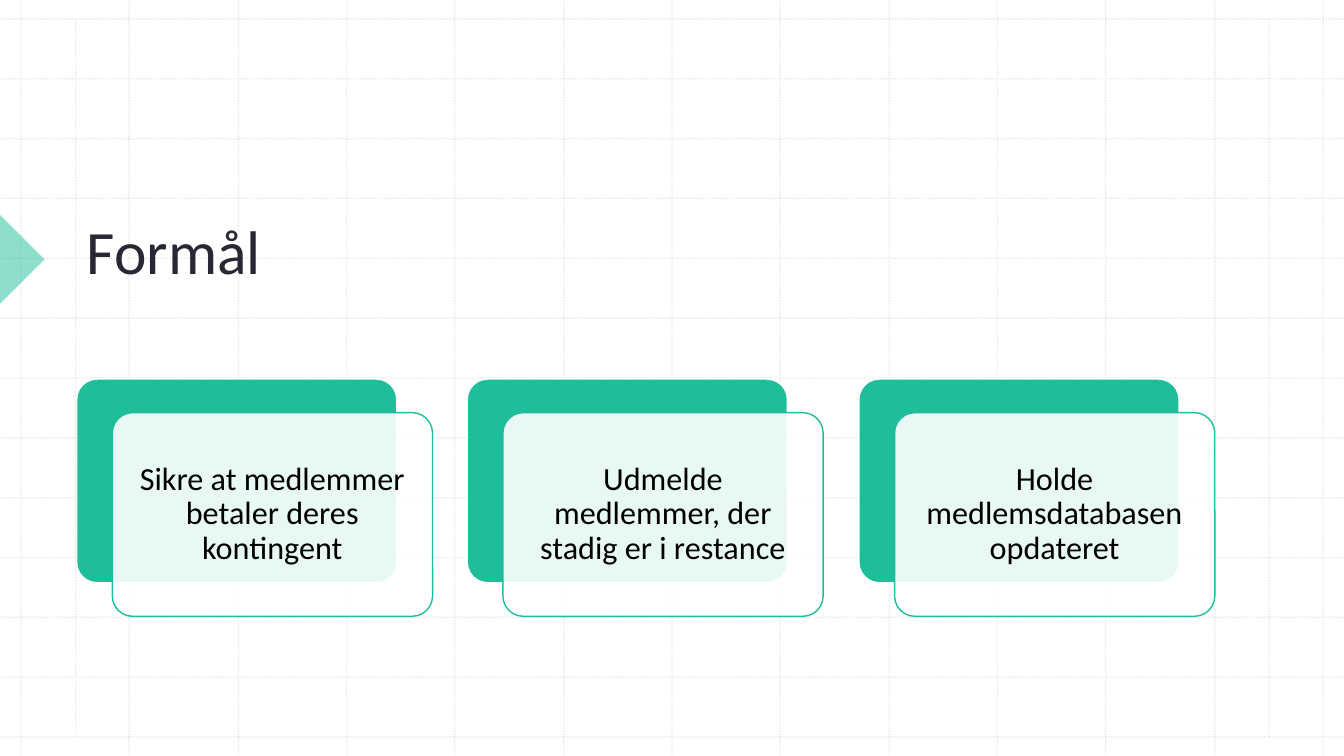
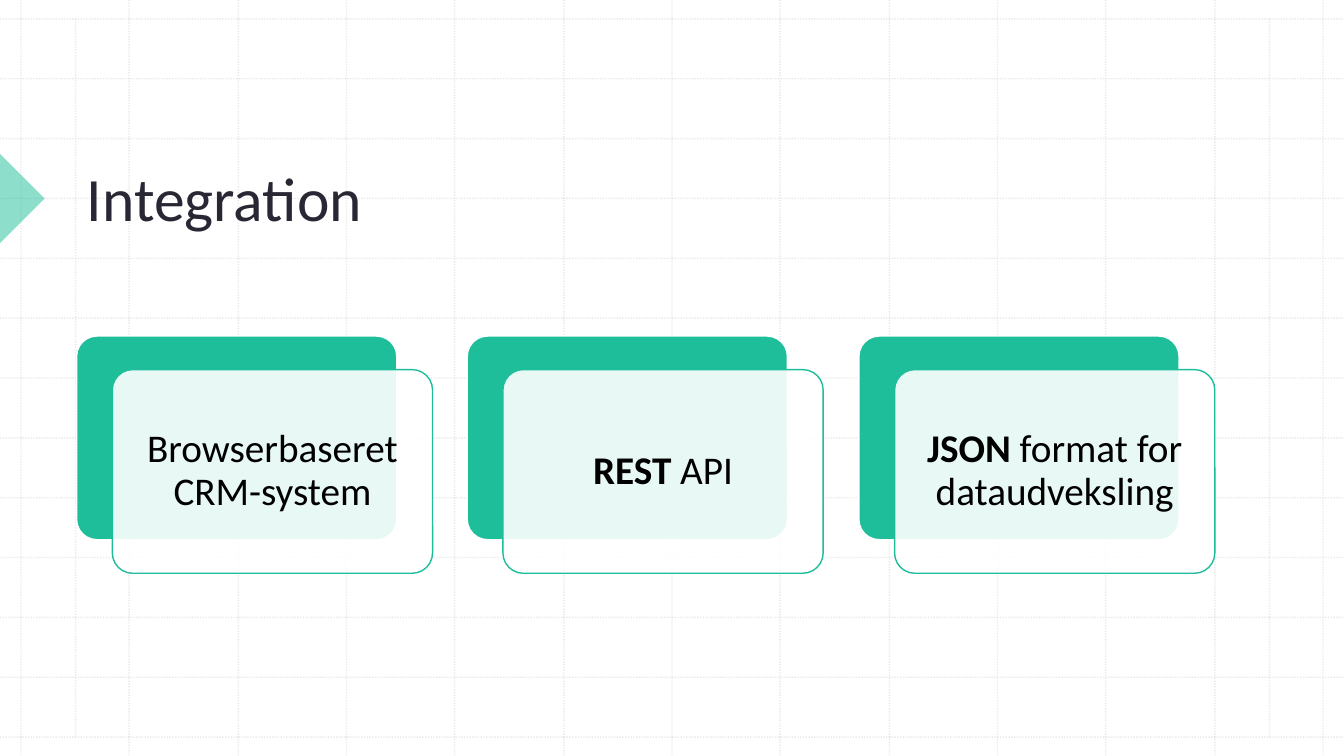
from dataclasses import dataclass

from pptx import Presentation
from pptx.dml.color import RGBColor as RGB
from pptx.enum.dml import MSO_LINE_DASH_STYLE as DASH
from pptx.enum.shapes import MSO_CONNECTOR as CONN, MSO_SHAPE as SHAPE
from pptx.enum.text import MSO_ANCHOR as ANCHOR, PP_ALIGN as ALIGN
from pptx.oxml.ns import qn
from pptx.oxml.xmlchemy import OxmlElement
from pptx.util import Pt

PX = 9525  # EMU per px
WIDTH, HEIGHT = 1280, 720


@dataclass(frozen=True)
class Theme:
    font: str = "Calibri"
    green: RGB = RGB(0x1E, 0xBE, 0x9B)
    white: RGB = RGB(0xFF, 0xFF, 0xFF)
    black: RGB = RGB(0, 0, 0)
    heading: RGB = RGB(0x2A, 0x27, 0x35)
    grid: RGB = RGB(0xBC, 0xBC, 0xBC)
    title_size: int = 44


def px(*lengths):
    return [n * PX for n in lengths]


def set_opacity(s, percent):
    """Make the colours set so far on the shape partly transparent."""
    for colour in s._element.spPr.iter(qn("a:srgbClr")):
        alpha = OxmlElement("a:alpha")
        alpha.set("val", str(percent * 1000))
        colour.append(alpha)


class Deck:
    def __init__(self, theme):
        self.theme = theme
        self.prs = Presentation()
        self.prs.slide_width, self.prs.slide_height = px(WIDTH, HEIGHT)
        self.slide = None

    def new_slide(self, title, title_height, arrow_top):
        self.slide = self.prs.slides.add_slide(self.prs.slide_layouts[5])
        self.grid()
        self.arrow(arrow_top)
        self.title(title, title_height)

    def format_text(self, tf, runs, size, colour, inset, align, anchor):
        frame_format = {"word_wrap": True, "vertical_anchor": anchor}
        if inset is not None:
            sides = ("left", "top", "right", "bottom")
            frame_format |= {f"margin_{side}": inset * PX for side in sides}
        for name, value in frame_format.items():
            setattr(tf, name, value)
        p = tf.paragraphs[0]
        p.alignment, p.line_spacing = align, 0.9
        for text, bold in runs:
            r = p.add_run()
            r.text = text
            font_format = {"name": self.theme.font, "size": Pt(size), "bold": bold}
            for name, value in font_format.items():
                setattr(r.font, name, value)
            r.font.color.rgb = colour

    def title(self, text, height):
        s = self.slide.shapes.title
        s.left, s.top, s.width, s.height = px(73, 76, 1084, height)
        self.format_text(s.text_frame, [(text, False)], self.theme.title_size,
                         self.theme.heading, None, ALIGN.LEFT, ANCHOR.BOTTOM)
        # Bring the title in front of the grid
        self.slide.shapes._spTree.append(s._element)

    def grid_line(self, x1, y1, x2, y2):
        s = self.slide.shapes.add_connector(CONN.STRAIGHT, *px(x1, y1, x2, y2))
        s.line.color.rgb = self.theme.grid
        s.line.width, s.line.dash_style = Pt(1), DASH.ROUND_DOT
        set_opacity(s, 30)
        s._element.spPr.append(OxmlElement("a:effectLst"))

    def grid(self):
        for i in range(13):
            x, y = 20 + round(i * 1240 / 12), 18 + i * 57
            self.grid_line(x, 0, x, HEIGHT)
            self.grid_line(0, y, WIDTH, y)
        # Content margins
        for x in (72, 1209):
            self.grid_line(x, 18, x, 702)

    def shape(self, kind, box, fill, opacity=100, line=None):
        s = self.slide.shapes.add_shape(kind, *px(*box))
        s.shadow.inherit = False
        s.fill.solid()
        s.fill.fore_color.rgb = fill
        if opacity < 100:
            set_opacity(s, opacity)
        if line is None:
            s.line.fill.background()
        else:
            s.line.color.rgb, s.line.width = line, Pt(1)
        return s

    def arrow(self, top):
        s = self.shape(SHAPE.RIGHT_TRIANGLE, (-30, top, 60, 60), self.theme.green, 50)
        s.rotation = 225

    def card(self, x, y, runs, size, inset):
        t, w, h = self.theme, 305, 194
        back = self.shape(SHAPE.ROUNDED_RECTANGLE, (x, y, w, h), t.green, line=t.white)
        front = self.shape(SHAPE.ROUNDED_RECTANGLE, (x + 34, y + 32, w, h),
                           t.white, 90, t.green)
        for s in (back, front):
            s.adjustments[0] = 0.1
        self.format_text(front.text_frame, runs, size, t.black, inset,
                         ALIGN.CENTER, ANCHOR.MIDDLE)

    def card_row(self, y, cards, size, inset):
        for i, runs in enumerate(cards):
            self.card(73 + i * 745 // 2, y, runs, size, inset)


def main():
    deck = Deck(Theme())

    # Purpose
    deck.new_slide("Formål", title_height=203, arrow_top=217)
    deck.card_row(361, [
        [("Sikre at medlemmer betaler deres kontingent", False)],
        [("Udmelde medlemmer, der stadig er i restance", False)],
        [("Holde medlemsdatabasen opdateret", False)],
    ], size=23, inset=9)

    # Integration
    deck.new_slide("Integration", title_height=152, arrow_top=159)
    deck.card_row(320, [
        [("Browserbaseret CRM-system", False)],
        [("REST", True), (" API", False)],
        [("JSON", True), (" format for dataudveksling", False)],
    ], size=28, inset=11)

    deck.prs.save("out.pptx")


if __name__ == "__main__":
    main()
